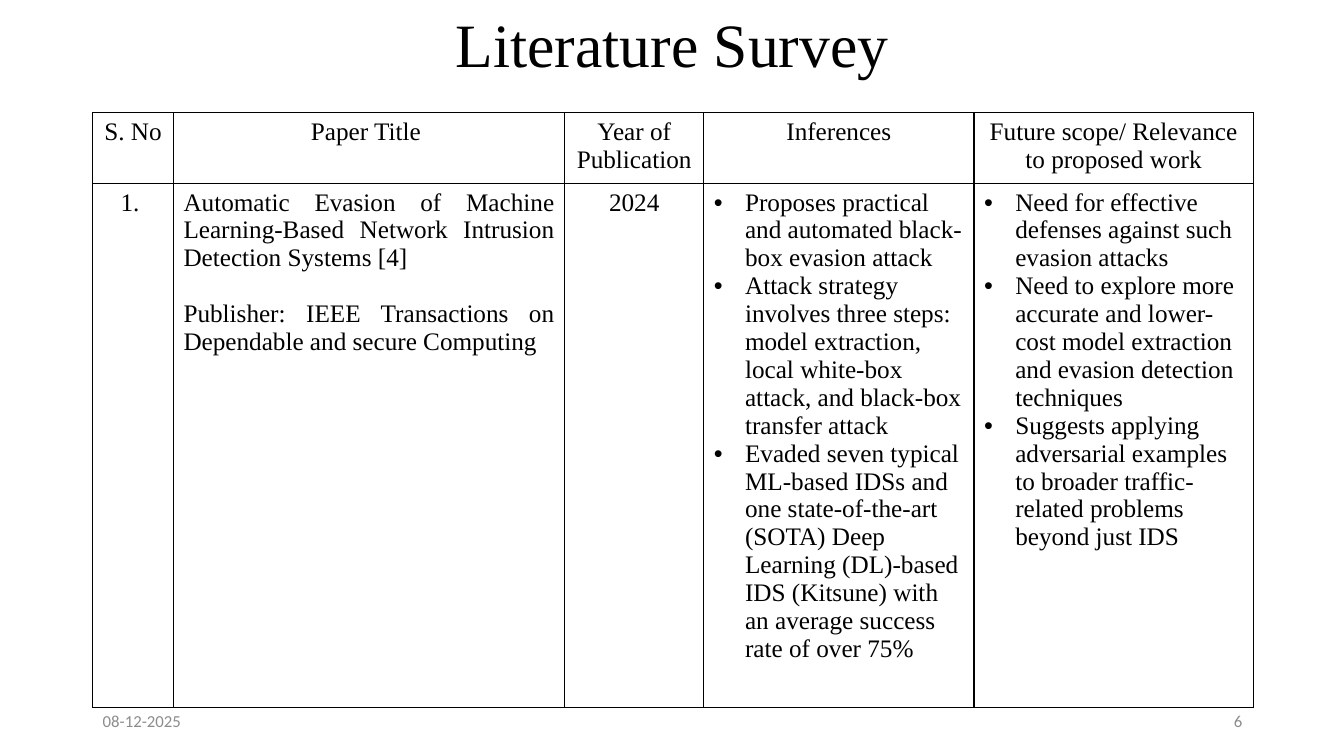
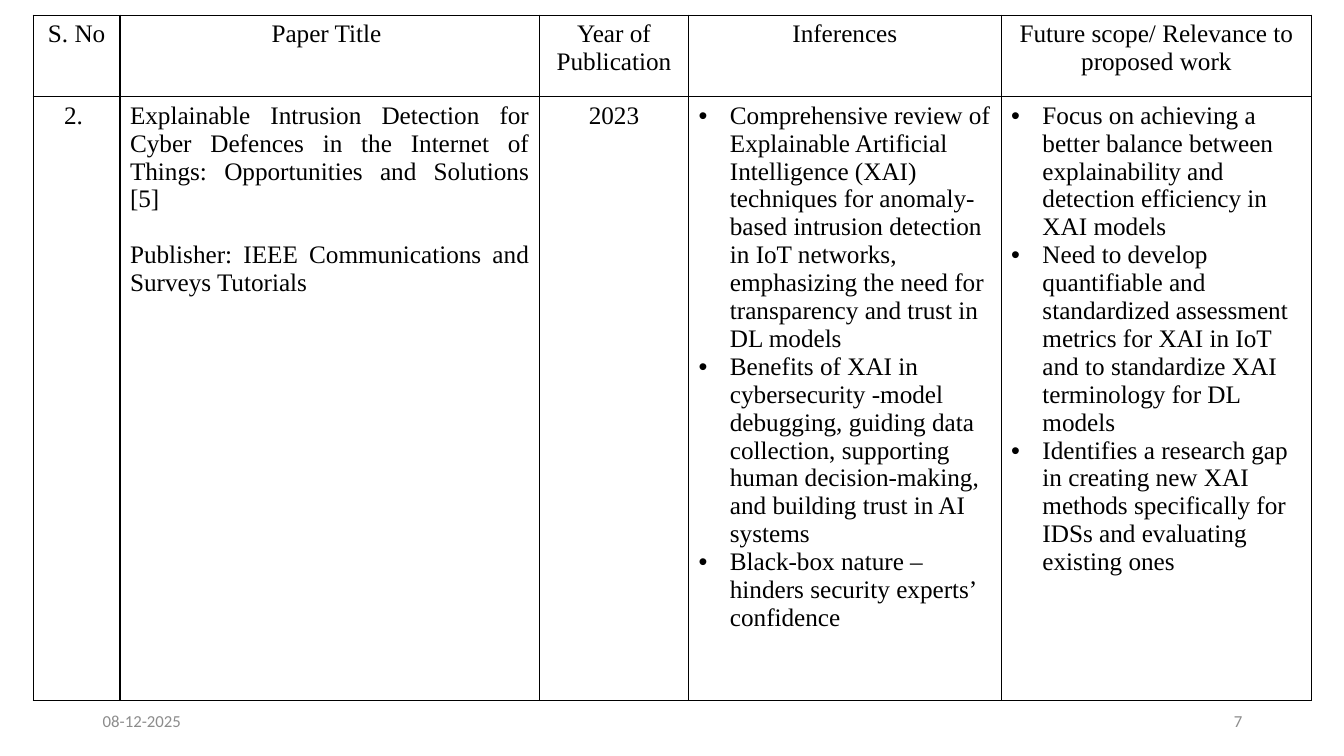
from lxml import etree
from pptx import Presentation
from pptx.dml.color import RGBColor
from pptx.enum.text import MSO_ANCHOR, PP_ALIGN
from pptx.oxml.ns import qn
from pptx.util import Inches, Pt

LEFT, CENTER, RIGHT, JUSTIFY = PP_ALIGN.LEFT, PP_ALIGN.CENTER, PP_ALIGN.RIGHT, PP_ALIGN.JUSTIFY
MIDDLE = MSO_ANCHOR.MIDDLE

COLORS = {"text": "000000", "border": "000000", "footer": "8C8C8C", "page": "FFFFFF"}
SERIF, SANS = "Times New Roman", "Calibri"
DATE = "08-12-2025"
BULLET_INDENT = Inches(0.31)
BLANK_LINE = Pt(20)

HEADERS = ["S. No", "Paper Title ", "Year of Publication", "Inferences",
           "Future scope/ Relevance to proposed work"]
COLUMN_ALIGNS = [CENTER, JUSTIFY, CENTER, LEFT, LEFT]
BULLET_COLUMNS = (3, 4)

SURVEY_PAGES = [
    {
        "title": "Literature Survey",
        "number": 6,
        "origin": (0.92, 1.12),
        "columns": [0.8, 3.88, 1.38, 2.68, 2.77],
        "rows": [0.64, 4.66],
        "entry": [
            ["1. "],
            ["Automatic Evasion of Machine Learning-Based Network Intrusion Detection Systems [4]",
             "Publisher: IEEE Transactions on Dependable and secure Computing"],
            ["2024"],
            ["Proposes practical and automated black-box evasion attack",
             "Attack strategy involves three steps: model extraction, local white-box attack, "
             "and black-box transfer attack",
             "Evaded seven typical ML-based IDSs and one state-of-the-art (SOTA) Deep Learning "
             "(DL)-based IDS (Kitsune) with an average success rate of over 75%"],
            ["Need for effective defenses against such evasion attacks",
             "Need to explore more accurate and lower-cost model extraction and evasion "
             "detection techniques",
             "Suggests applying adversarial examples to broader traffic-related problems "
             "beyond just IDS"],
        ],
    },
    {
        "title": None,
        "number": 7,
        "origin": (0.33, 0.15),
        "columns": [0.86, 4.16, 1.48, 3.1, 3.08],
        "rows": [0.81, 5.99],
        "entry": [
            ["2. "],
            ["Explainable Intrusion Detection for Cyber Defences in the Internet of Things: "
             "Opportunities and Solutions\v[5]",
             "Publisher: IEEE Communications and Surveys Tutorials"],
            ["2023"],
            ["Comprehensive review of Explainable Artificial Intelligence (XAI) techniques for "
             "anomaly-based intrusion detection in IoT networks, emphasizing the need for "
             "transparency and trust in DL models",
             "Benefits of XAI in cybersecurity -model debugging, guiding data collection, "
             "supporting human decision-making, and building trust in AI systems",
             "Black-box nature – hinders security experts’ confidence"],
            ["Focus on achieving a better balance between explainability and detection "
             "efficiency in XAI models",
             "Need to develop quantifiable and standardized assessment metrics for XAI in IoT "
             "and to standardize XAI terminology for DL models",
             "Identifies a research gap in creating new XAI methods specifically for IDSs and "
             "evaluating existing ones"],
        ],
    },
]


def write_text(frame, texts, align, size, font, color, bulleted=False):
    """Fill a text frame with one uniformly styled paragraph per text."""
    for index, text in enumerate(texts):
        para = frame.paragraphs[0] if index == 0 else frame.add_paragraph()
        para.text = text
        para.alignment = align
        if bulleted:
            properties = para._p.get_or_add_pPr()
            properties.set("marL", str(BULLET_INDENT))
            properties.set("indent", str(-BULLET_INDENT))
            etree.SubElement(properties, qn("a:buFont"), typeface="Arial")
            etree.SubElement(properties, qn("a:buChar"), char="•")
        elif index:
            para.space_before = BLANK_LINE
        para.font.size = Pt(size)
        para.font.name = font
        para.font.color.rgb = RGBColor.from_string(COLORS[color])


def add_label(page, bounds, text, align, size, font, color):
    box = page.shapes.add_textbox(*[Inches(length) for length in bounds])
    box.text_frame.word_wrap = True
    box.text_frame.vertical_anchor = MIDDLE
    write_text(box.text_frame, [text], align, size, font, color)
    return box


deck = Presentation()
deck.slide_width, deck.slide_height = Inches(13.33), Inches(7.5)
background = deck.slide_master.background.fill
background.solid()
background.fore_color.rgb = RGBColor.from_string(COLORS["page"])

for survey in SURVEY_PAGES:
    page = deck.slides.add_slide(deck.slide_layouts[6])

    if survey["title"]:
        title = add_label(page, (0.92, -0.25, 11.5, 1.45), survey["title"], CENTER, 44, SERIF, "text")
        title.text_frame.paragraphs[0].line_spacing = 0.9
    add_label(page, (0.92, 6.95, 3, 0.4), DATE, LEFT, 12, SANS, "footer")
    add_label(page, (9.42, 6.95, 3, 0.4), str(survey["number"]), RIGHT, 12, SANS, "footer")

    left, top = survey["origin"]
    widths, heights = survey["columns"], survey["rows"]
    table = page.shapes.add_table(len(heights), len(widths), Inches(left), Inches(top),
                                  Inches(sum(widths)), Inches(sum(heights))).table
    table.first_row = table.horz_banding = False
    for column, width in zip(table.columns, widths):
        column.width = Inches(width)
    for row, height in zip(table.rows, heights):
        row.height = Inches(height)

    for index, (header, texts) in enumerate(zip(HEADERS, survey["entry"])):
        write_text(table.cell(0, index).text_frame, [header], CENTER, 18, SERIF, "text")
        write_text(table.cell(1, index).text_frame, texts, COLUMN_ALIGNS[index], 18, SERIF,
                   "text", bulleted=index in BULLET_COLUMNS)

    for cell in table.iter_cells():
        cell.fill.background()
        cell_properties = cell._tc.get_or_add_tcPr()
        for position, side in enumerate(("lnL", "lnR", "lnT", "lnB")):
            border = etree.Element(qn(f"a:{side}"), w=str(Pt(1)))
            line_fill = etree.SubElement(border, qn("a:solidFill"))
            etree.SubElement(line_fill, qn("a:srgbClr"), val=COLORS["border"])
            cell_properties.insert(position, border)

deck.save("out.pptx")
